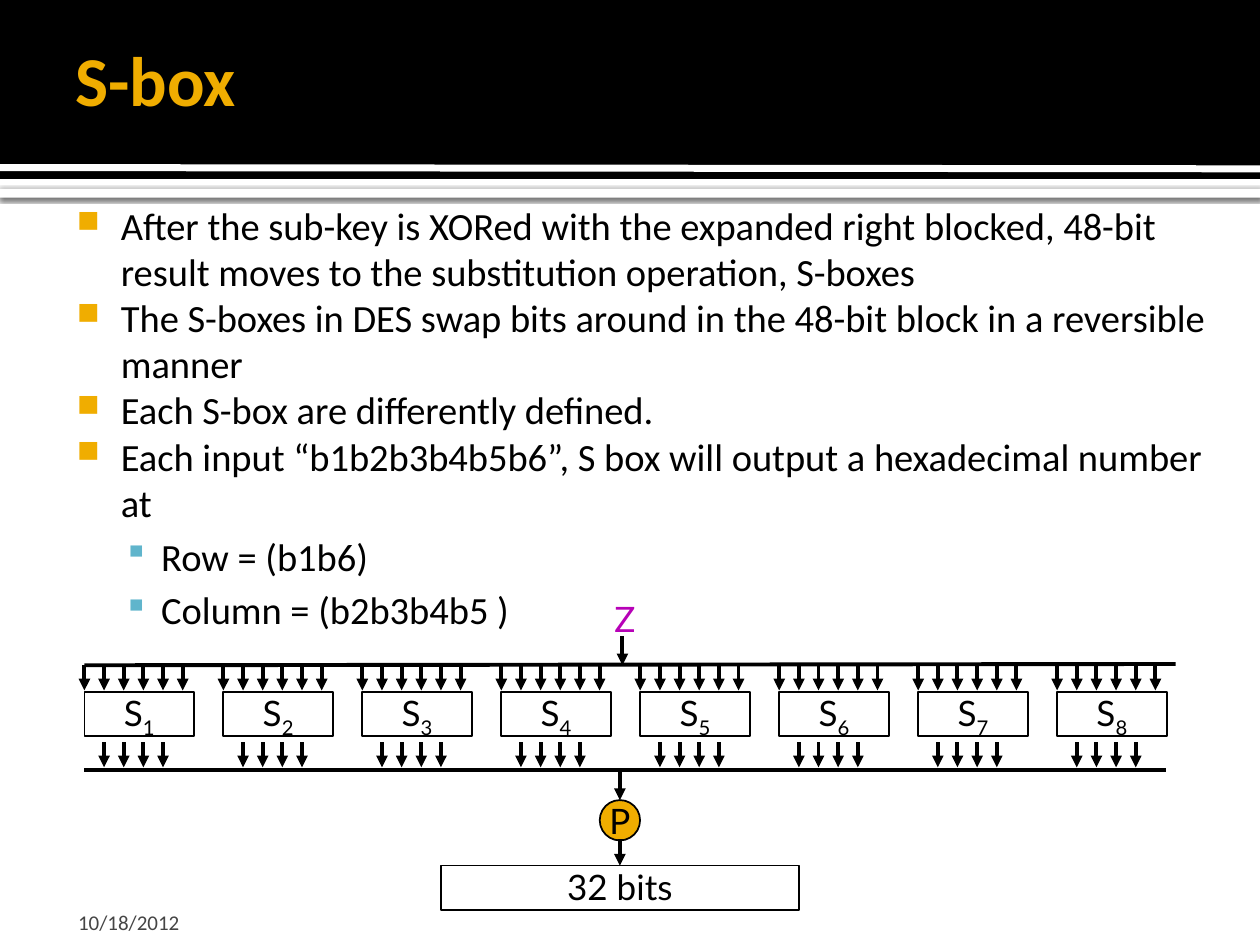
from dataclasses import dataclass

from lxml.etree import SubElement
from pptx import Presentation
from pptx.dml.color import RGBColor
from pptx.enum.shapes import MSO_CONNECTOR, MSO_SHAPE
from pptx.enum.text import MSO_ANCHOR, PP_ALIGN
from pptx.oxml.ns import qn
from pptx.util import Inches, Pt


@dataclass(frozen=True)
class Theme:
    black: str = "000000"
    white: str = "FFFFFF"
    gold: str = "F0AD00"
    blue: str = "60B5CC"
    purple: str = "B701B7"
    grey: str = "454545"
    text_font: str = "Calibri"
    diagram_font: str = "Lato"
    title_size: float = 40
    body_size: float = 22
    diagram_size: float = 20
    date_size: float = 12
    wire_width: float = 2.25
    outline_width: float = 1


THEME = Theme()

BULLETS = [
    (0, "After the sub-key is XORed with the expanded right blocked, 48-bit result moves to the substitution operation, S-boxes"),
    (0, "The S-boxes in DES swap bits around in the 48-bit block in a reversible manner"),
    (0, "Each S-box are differently defined."),
    (0, "Each input “b1b2b3b4b5b6”, S box will output a hexadecimal number at"),
    (1, "Row = (b1b6)"),
    (1, "Column = (b2b3b4b5 )"),
]
BULLET_LEVELS = [
    ("■", THEME.gold, 80, 0.48, -0.35, 0),
    ("▪", THEME.blue, 90, 0.8, -0.3, 4.4),
]
BOX_COUNT = 8
FIRST_LEFT = 0.67
BOX_PITCH = 7.72 / (BOX_COUNT - 1)
BIT_PITCH = 0.78 / 5
CENTER = 4.92


def set_frame(shape, insets, anchor=MSO_ANCHOR.TOP, wrap=True):
    frame = shape.text_frame
    frame.word_wrap = wrap
    frame.vertical_anchor = anchor
    frame.margin_left, frame.margin_top, frame.margin_right, frame.margin_bottom = map(Inches, insets)
    return frame


def add_span(para, text, size, color, font, bold=False):
    span = para.add_run()
    span.text = text
    span.font.name = font
    span.font.size = Pt(size)
    span.font.bold = bold
    span.font.color.rgb = RGBColor.from_string(color)
    return span


def add_diagram_span(para, text, color=THEME.black):
    para.alignment = PP_ALIGN.CENTER
    return add_span(para, text, THEME.diagram_size, color, THEME.diagram_font)


def add_text_box(page, place, insets, anchor=MSO_ANCHOR.TOP):
    box = page.shapes.add_textbox(*map(Inches, place))
    return set_frame(box, insets, anchor)


def add_block(page, kind, place, fill=None, outline=None):
    block = page.shapes.add_shape(kind, *map(Inches, place))
    block.shadow.inherit = False
    if fill:
        block.fill.solid()
        block.fill.fore_color.rgb = RGBColor.from_string(fill)
    else:
        block.fill.background()
    if outline:
        block.line.color.rgb = RGBColor.from_string(outline)
        block.line.width = Pt(THEME.outline_width)
    else:
        block.line.fill.background()
    return block


def add_soft_shadow(block):
    effects = block.element.spPr.find(qn("a:effectLst"))
    shadow = SubElement(effects, qn("a:outerShdw"), blurRad=str(Pt(2.5)), dist=str(Pt(0.8)), dir="5400000")
    color = SubElement(shadow, qn("a:srgbClr"), val=THEME.black)
    SubElement(color, qn("a:alpha"), val="60000")


def add_wire(page, start, end, arrow=False, color=THEME.black, width=THEME.wire_width):
    wire = page.shapes.add_connector(MSO_CONNECTOR.STRAIGHT, *map(Inches, (*start, *end)))
    wire.line.color.rgb = RGBColor.from_string(color)
    wire.line.width = Pt(width)
    if arrow:
        SubElement(wire.line._get_or_add_ln(), qn("a:tailEnd"), type="triangle")
    SubElement(wire._element.spPr, qn("a:effectLst"))
    return wire


def add_bullet(para, level, text):
    symbol, color, percent, margin, indent, space = BULLET_LEVELS[level]
    props = para._p.get_or_add_pPr()
    props.set("marL", str(Inches(margin)))
    props.set("indent", str(Inches(indent)))
    bullet_color = SubElement(props, qn("a:buClr"))
    SubElement(bullet_color, qn("a:srgbClr"), val=color)
    SubElement(props, qn("a:buSzPct"), val=str(percent * 1000))
    SubElement(props, qn("a:buChar"), char=symbol)
    para.level = level
    if space:
        para.space_before = Pt(space)
    add_span(para, text, THEME.body_size, THEME.black, THEME.text_font)


def add_header(page):
    add_soft_shadow(add_block(page, MSO_SHAPE.RECTANGLE, (0, 1.5, 10, 0.07), THEME.white))
    add_block(page, MSO_SHAPE.RECTANGLE, (0, 0, 10, 1.42), THEME.black)
    add_wire(page, (0, 1.33), (10, 1.34), color=THEME.white, width=4)
    frame = add_text_box(page, (0.5, 0.08, 8.25, 1.08), (0.1, 0.05, 0.05, 0.05), MSO_ANCHOR.MIDDLE)
    add_span(frame.paragraphs[0], "S-box", THEME.title_size, THEME.gold, THEME.text_font, bold=True)


def add_body(page):
    frame = add_text_box(page, (0.42, 1.5, 9.33, 5.58), (0.06, 0.1, 0.1, 0.05))
    for index, (level, text) in enumerate(BULLETS):
        para = frame.add_paragraph() if index else frame.paragraphs[0]
        add_bullet(para, level, text)


def add_date(page):
    frame = add_text_box(page, (0.5, 7.12, 2.33, 0.3), (0.12, 0.05, 0.05, 0), MSO_ANCHOR.BOTTOM)
    add_span(frame.paragraphs[0], "10/18/2012", THEME.date_size, THEME.grey, THEME.text_font)


def add_labelled_box(page, place, text):
    box = add_block(page, MSO_SHAPE.RECTANGLE, place, outline=THEME.black)
    para = set_frame(box, (0.1, 0, 0.1, 0)).paragraphs[0]
    add_diagram_span(para, text)
    return box


def add_substitution_box(page, index):
    left = FIRST_LEFT + index * BOX_PITCH
    box = add_labelled_box(page, (left, 5.49, 0.87, 0.35), "S")
    subscript = add_diagram_span(box.text_frame.paragraphs[0], str(index + 1))
    subscript.font._element.set("baseline", "-25000")
    for bits, top in ((range(6), 5.28), (range(1, 5), 5.89)):
        for bit in bits:
            x = left + bit * BIT_PITCH
            add_wire(page, (x, top), (x, top + 0.2), arrow=True)


def add_diagram(page):
    add_wire(page, (4.94, 5.05), (4.94, 5.28), arrow=True)
    add_wire(page, (FIRST_LEFT, 5.28), (9.33, 5.27))
    for index in range(BOX_COUNT):
        add_substitution_box(page, index)
    add_wire(page, (FIRST_LEFT, 6.11), (9.25, 6.11))

    permutation = add_block(page, MSO_SHAPE.OVAL, (CENTER - 0.16, 6.35, 0.32, 0.32), THEME.gold, THEME.black)
    frame = set_frame(permutation, (0.1, 0.05, 0.1, 0.05), MSO_ANCHOR.MIDDLE, wrap=False)
    add_diagram_span(frame.paragraphs[0], "P")
    result = add_labelled_box(page, (CENTER - 1.42, 6.87, 2.84, 0.35), "32 bits")
    add_wire(page, (CENTER, 6.11), (CENTER, 6.35), arrow=True).end_connect(permutation, 0)
    add_wire(page, (CENTER, 6.66), (CENTER, 6.87), arrow=True).end_connect(result, 0)

    frame = add_text_box(page, (4.37, 4.69, 1.18, 0.43), (0.1, 0.05, 0.1, 0.05))
    add_diagram_span(frame.paragraphs[0], "Z", THEME.purple)


def main():
    deck = Presentation()
    deck.slide_width, deck.slide_height = Inches(10), Inches(7.5)
    page = deck.slides.add_slide(deck.slide_layouts[6])
    add_header(page)
    add_body(page)
    add_date(page)
    add_diagram(page)
    deck.save("out.pptx")


if __name__ == "__main__":
    main()
